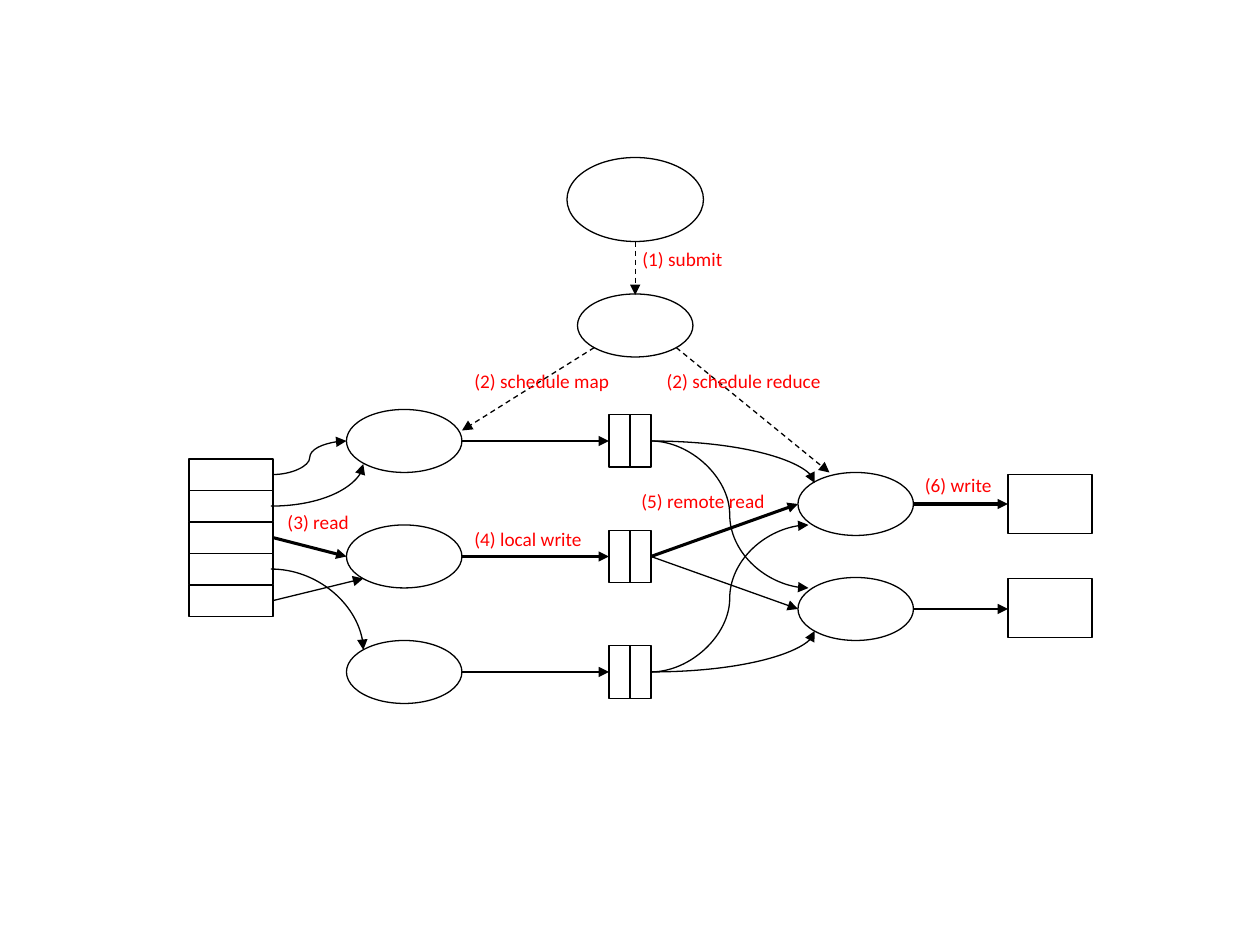
from pptx import Presentation
from pptx.dml.color import RGBColor
from pptx.enum.dml import MSO_LINE
from pptx.enum.shapes import MSO_CONNECTOR, MSO_SHAPE
from pptx.enum.text import MSO_AUTO_SIZE
from pptx.oxml.ns import qn
from pptx.util import Pt
from lxml.etree import SubElement

PX = 7620
BLACK = RGBColor(0, 0, 0)
RED = RGBColor(255, 0, 0)
THIN = {"width": Pt(0.75)}
BOLD = {"width": Pt(1.75)}
DASH = {"width": Pt(0.75), "dash_style": MSO_LINE.DASH}
FONT = {"name": "Calibri", "size": Pt(11)}
FRAME = {"word_wrap": False, "auto_size": MSO_AUTO_SIZE.SHAPE_TO_FIT_TEXT}


def scale(*sizes):
    """Turn px lengths into EMU."""
    return [size * PX for size in sizes]


def style(target, values):
    """Set each named value on the target."""
    for name, value in values.items():
        setattr(target, name, value)


class Canvas:
    """Draw the flow diagram's elements on one slide."""

    def __init__(self, slide):
        """Keep the slide to draw on."""
        self.shapes = slide.shapes

    def pen(self, shape, values):
        """Outline a shape in black."""
        shape.line.color.rgb = BLACK
        style(shape.line, values)

    def node(self, kind, *box):
        """Add an unfilled outlined shape."""
        shape = self.shapes.add_shape(kind, *scale(*box))
        shape.shadow.inherit = False
        shape.fill.background()
        self.pen(shape, THIN)

    def rect(self, *box):
        """Add a rectangle."""
        self.node(MSO_SHAPE.RECTANGLE, *box)

    def oval(self, *box):
        """Add an ellipse."""
        self.node(MSO_SHAPE.OVAL, *box)

    def arrow(self, *ends, pen=THIN, kind=MSO_CONNECTOR.STRAIGHT):
        """Add an arrow between two points."""
        link = self.shapes.add_connector(kind, *scale(*ends))
        self.pen(link, pen)
        props = link.element.spPr
        SubElement(props.find(qn("a:ln")), qn("a:tailEnd"), type="triangle")
        SubElement(props, qn("a:effectLst"))
        return link

    def wave(self, *ends):
        """Add an S-shaped arrow."""
        return self.arrow(*ends, kind=MSO_CONNECTOR.CURVE)

    def bend(self, *ends):
        """Add an arrow with a single quarter turn."""
        link = self.wave(*ends)
        link.element.spPr.find(qn("a:prstGeom")).set("prst", "curvedConnector2")

    def label(self, text, left, top, width):
        """Add a red step label."""
        box = self.shapes.add_textbox(*scale(left, top, width, 35))
        style(box.text_frame, FRAME)
        run = box.text_frame.paragraphs[0].add_run()
        run.text = text
        style(run.font, FONT)
        run.font.color.rgb = RED


def main():
    """Build the map and reduce flow slide."""
    deck = Presentation()
    deck.slide_width, deck.slide_height = scale(1200, 900)
    art = Canvas(deck.slides.add_slide(deck.slide_layouts[6]))

    for row in range(5):
        art.rect(180, 437 + 30 * row, 80, 30)
    for mid in (420, 530, 640):
        art.oval(330, mid - 30, 110, 60)
        for left in (580, 600):
            art.rect(left, mid - 25, 20, 50)
        art.arrow(440, mid, 580, mid, pen=BOLD if mid == 530 else THIN)
    for mid, top, pen in ((480, 452, BOLD), (580, 551, THIN)):
        art.oval(760, mid - 30, 110, 60)
        art.rect(960, top, 80, 56)
        art.arrow(870, mid, 960, mid, pen=pen)
        art.arrow(620, 530, 760, mid, pen=pen)
    art.oval(550, 280, 110, 60)
    art.oval(540, 150, 130, 80)

    art.wave(260, 452, 330, 420)
    art.bend(258, 482, 346, 442)
    art.bend(258, 542, 346, 619)
    art.arrow(260, 512, 330, 530, pen=BOLD)
    art.arrow(260, 572, 346, 551)
    for start, near, far in ((420, 460, 560), (640, 601, 500)):
        art.bend(620, start, 776, near)
        art.wave(620, start, 770, far)
    for ends in ((605, 230, 605, 281), (566, 331, 440, 410), (644, 331, 790, 450)):
        art.arrow(*ends, pen=DASH)

    for step in (
        ("(1) submit", 600, 230, 107),
        ("(2) schedule map", 440, 346, 167),
        ("(2) schedule reduce", 623, 346, 187),
        ("(3) read", 262, 480, 89),
        ("(4) local write", 440, 496, 134),
        ("(5) remote read", 599, 460, 151),
        ("(6) write", 869, 445, 91),
    ):
        art.label(*step)

    deck.save("out.pptx")


if __name__ == "__main__":
    main()
